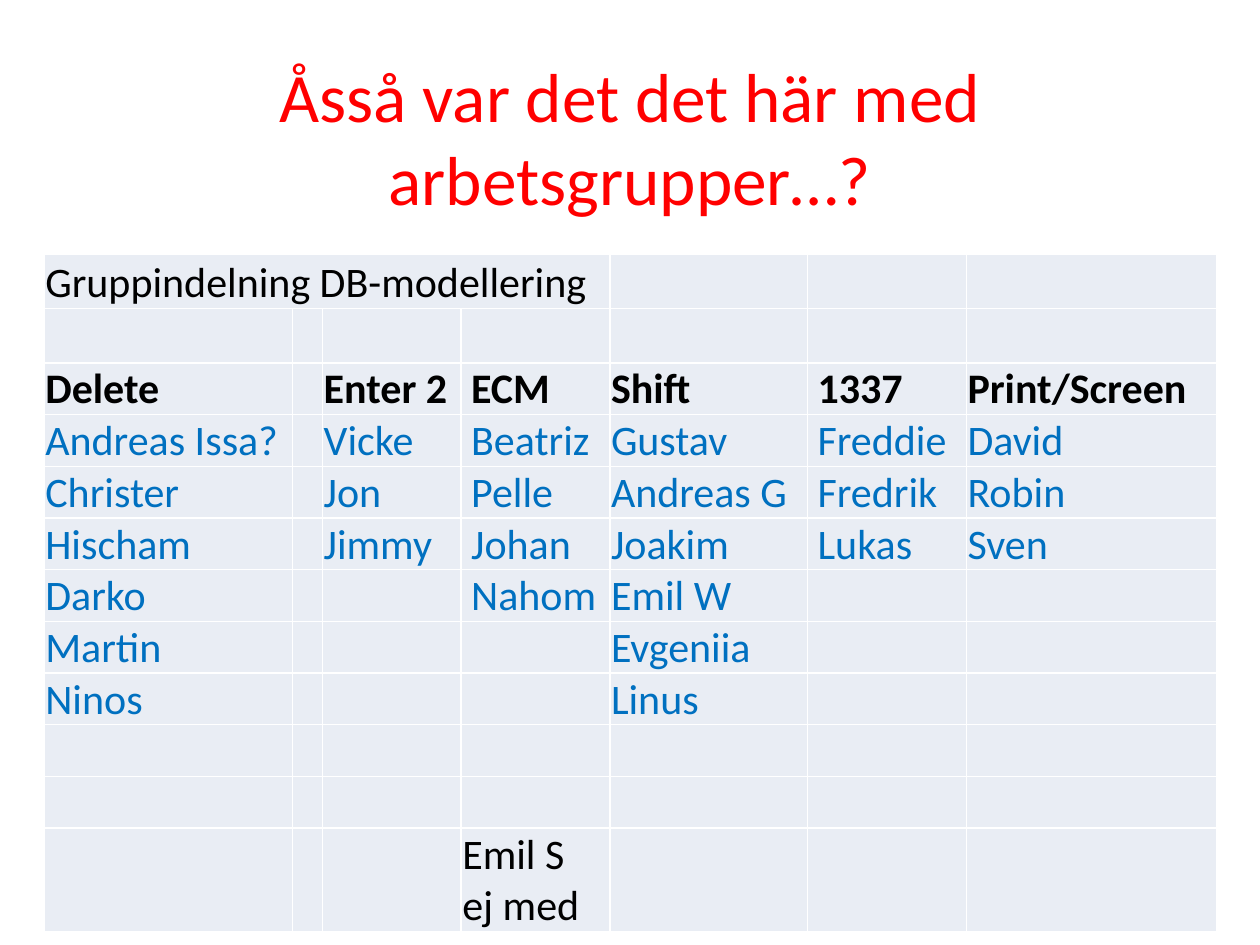
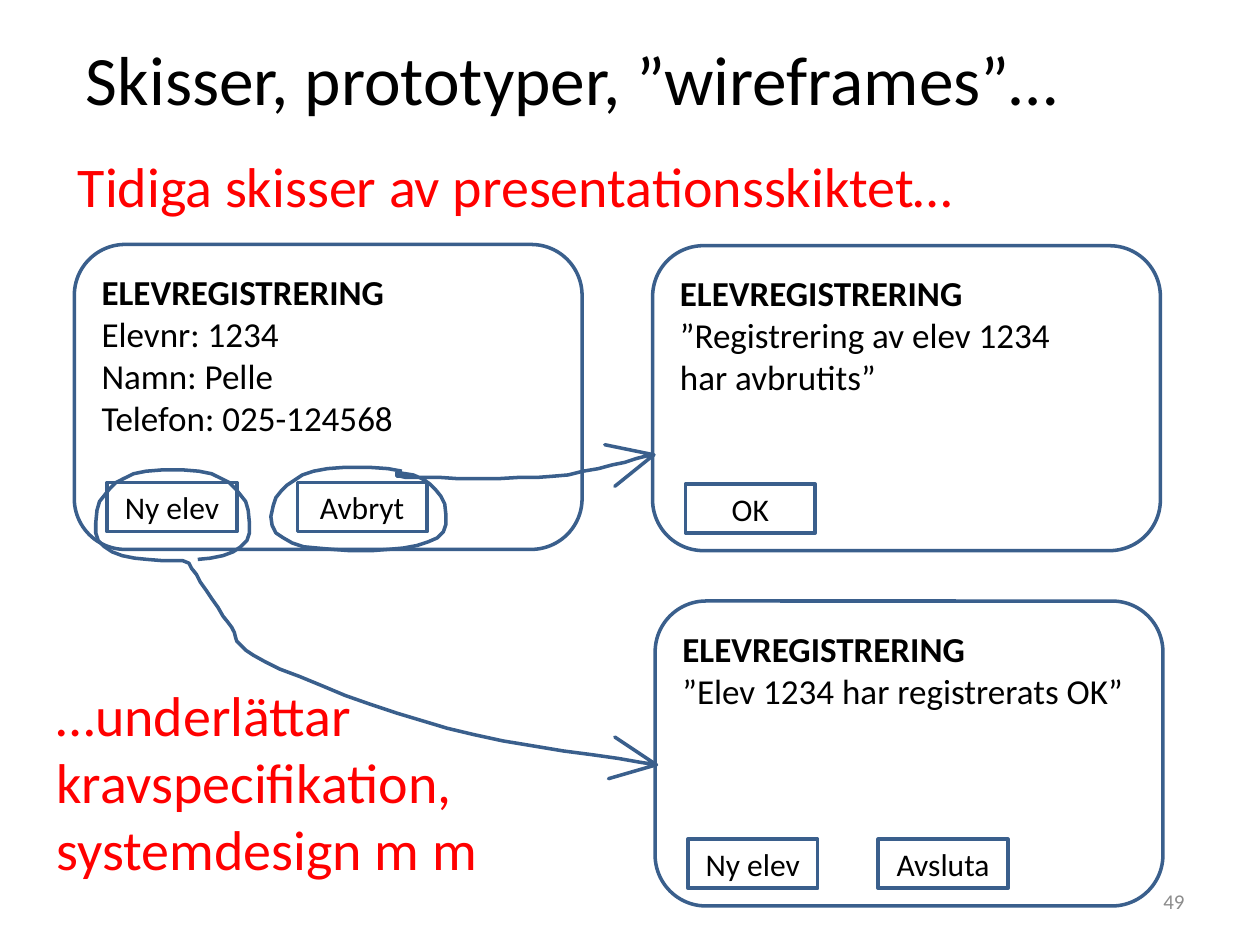
import math

from lxml import etree
from pptx import Presentation
from pptx import util as u
from pptx.dml.color import RGBColor
from pptx.enum import shapes, text
from pptx.oxml import ns

PX = 9144  # EMU per px, 100 px to the inch
FONT = "Calibri"
TITLE_SIZE, SUBTITLE_SIZE, TABLE_SIZE = 39.6, 32, 24
SCREEN_TEXT_SIZE, BUTTON_TEXT_SIZE, NUMBER_SIZE = 20, 18, 12
COLORS = {
    "black": "000000", "white": "FFFFFF", "red": "FF0000", "name": "0070C0",
    "cell": "E9EDF4", "ink": "3A5F8C", "number": "8C8C8C",
}
LEFT, CENTER, RIGHT = text.PP_ALIGN.LEFT, text.PP_ALIGN.CENTER, text.PP_ALIGN.RIGHT
TOP, MIDDLE, BOTTOM = (text.MSO_ANCHOR.TOP, text.MSO_ANCHOR.MIDDLE,
                       text.MSO_ANCHOR.BOTTOM)

# Group table
COLUMN_WIDTHS = [197, 24, 110, 118, 157, 126, 199]
ROW_HEIGHTS = [43, 43] + [41] * 9 + [82]
HEADER_ROW, LAST_ROW = 2, len(ROW_HEIGHTS) - 1
TITLE_SPAN = 4  # columns under the table heading
ABSENT_COLUMN = 3
INDENTED_COLUMNS = (3, 5)
GROUPS = {  # column: group name, then its members
    0: ["Delete", "Andreas Issa?", "Christer", "Hischam", "Darko", "Martin", "Ninos"],
    2: ["Enter 2", "Vicke", "Jon", "Jimmy"],
    3: ["ECM", "Beatriz", "Pelle", "Johan", "Nahom"],
    4: ["Shift", "Gustav", "Andreas G", "Joakim", "Emil W", "Evgeniia", "Linus"],
    5: ["1337", "Freddie", "Fredrik", "Lukas"],
    6: ["Print/Screen", "David", "Robin", "Sven"],
}

# Wireframe screens
SCREEN_SIZE = (403, 242)
BUTTON_SIZE = (103, 39)
BUTTON_OFFSET = (26, 189)
BUTTON_STEP = 151

# Hand-drawn arrows
RING_STEPS, SHAFT_STEPS = 36, 8
RING_WOBBLE = 0.04
RING_SQUARENESS = 0.8  # 1 gives an ellipse, less gives fuller corners
BARB_LENGTH, BARB_ANGLE = 40, 25


def emu(*lengths):
    return [u.Emu(length * PX) for length in lengths]


def rgb(name):
    return RGBColor.from_string(COLORS[name])


# Text
def format_paragraph(paragraph, size, color, bold=False, align=LEFT):
    paragraph.alignment = align
    for run in paragraph.runs:
        run.font.name = FONT
        run.font.size = u.Pt(size)
        run.font.bold = bold
        run.font.color.rgb = rgb(color)


def add_text(slide, box, content, size, color, align=LEFT, anchor=TOP):
    text_frame = slide.shapes.add_textbox(*emu(*box)).text_frame
    text_frame.word_wrap = True
    text_frame.vertical_anchor = anchor
    text_frame.text = content
    format_paragraph(text_frame.paragraphs[0], size, color, align=align)


def add_title(slide, box, content, color):
    add_text(slide, box, content, TITLE_SIZE, color, CENTER, MIDDLE)


# Screens and buttons
def outline(shape):
    shape.shadow.inherit = False
    shape.line.color.rgb = rgb("ink")
    shape.line.width = u.Pt(2)


def add_box(slide, kind, box, content):
    shape = slide.shapes.add_shape(kind, *emu(*box))
    outline(shape)
    shape.fill.solid()
    shape.fill.fore_color.rgb = rgb("white")
    shape.text_frame.text = content
    return shape.text_frame


def add_button(slide, left, top, label):
    text_frame = add_box(slide, shapes.MSO_SHAPE.RECTANGLE,
                         (left, top, *BUTTON_SIZE), label)
    text_frame.vertical_anchor = MIDDLE
    text_frame.margin_top = text_frame.margin_bottom = 0
    format_paragraph(text_frame.paragraphs[0], BUTTON_TEXT_SIZE, "black", align=CENTER)


def add_screen(slide, left, top, lines, buttons):
    text_frame = add_box(slide, shapes.MSO_SHAPE.ROUNDED_RECTANGLE,
                         (left, top, *SCREEN_SIZE),
                         "\n".join(["ELEVREGISTRERING"] + lines))
    text_frame.vertical_anchor = TOP
    text_frame.margin_top = emu(9)[0]
    for index, paragraph in enumerate(text_frame.paragraphs):
        format_paragraph(paragraph, SCREEN_TEXT_SIZE, "black", bold=index == 0)
    for index, label in enumerate(buttons):
        add_button(slide, left + BUTTON_OFFSET[0] + index * BUTTON_STEP,
                   top + BUTTON_OFFSET[1], label)


# Hand-drawn arrows
def ring_points(center, radii, start_angle):
    """One uneven counterclockwise turn around a button."""
    def bulge(value):
        return math.copysign(abs(value) ** RING_SQUARENESS, value)

    points = []
    for step in range(RING_STEPS):
        angle = math.radians(start_angle - 360 * step / RING_STEPS)
        reach = 1 + RING_WOBBLE * math.sin(3 * angle)
        points.append((center[0] + radii[0] * reach * bulge(math.cos(angle)),
                       center[1] + radii[1] * reach * bulge(math.sin(angle))))
    return points


def smooth_points(stops):
    """A Catmull-Rom curve through all the stops."""
    padded = [stops[0], *stops, stops[-1]]
    points = [stops[0]]
    for before, start, end, after in zip(padded, padded[1:], padded[2:], padded[3:]):
        for step in range(1, SHAFT_STEPS + 1):
            t = step / SHAFT_STEPS
            points.append(tuple(
                b + ((c - a) * t + (2 * a - 5 * b + 4 * c - d) * t ** 2
                     + (3 * b - a - 3 * c + d) * t ** 3) / 2
                for a, b, c, d in zip(before, start, end, after)))
    return points


def head_points(previous, tip):
    """Both barbs, each drawn out from the tip and back again."""
    backwards = math.atan2(previous[1] - tip[1], previous[0] - tip[0])
    points = []
    for turn in (BARB_ANGLE, -BARB_ANGLE):
        angle = backwards + math.radians(turn)
        barb = (tip[0] + BARB_LENGTH * math.cos(angle),
                tip[1] + BARB_LENGTH * math.sin(angle))
        points += [barb, tip]
    return points


def add_ringed_arrow(slide, center, radii, start_angle, stops):
    shaft = smooth_points(stops)
    points = (ring_points(center, radii, start_angle) + shaft
              + head_points(*shaft[-2:]))
    builder = slide.shapes.build_freeform(*points[0], scale=PX)
    builder.add_line_segments(points[1:], close=False)
    arrow = builder.convert_to_shape()
    arrow.fill.background()
    outline(arrow)


# Table
def style_cell(cell):
    properties = cell._tc.get_or_add_tcPr()
    for side in ("lnL", "lnR", "lnT", "lnB"):
        line = etree.SubElement(properties, ns.qn(f"a:{side}"), w=str(u.Pt(1)))
        fill = etree.SubElement(line, ns.qn("a:solidFill"))
        etree.SubElement(fill, ns.qn("a:srgbClr"), val=COLORS["white"])
    cell.fill.solid()
    cell.fill.fore_color.rgb = rgb("cell")


def write_cell(cell, content, color="black", bold=False, indent=1):
    cell.text = content
    cell.vertical_anchor = BOTTOM
    cell.margin_left, cell.margin_right, cell.margin_top, cell.margin_bottom = emu(
        indent, 1, 1, 0)
    for paragraph in cell.text_frame.paragraphs:
        format_paragraph(paragraph, TABLE_SIZE, color, bold)


def add_group_table(slide, left, top):
    table = slide.shapes.add_table(
        len(ROW_HEIGHTS), len(COLUMN_WIDTHS),
        *emu(left, top, sum(COLUMN_WIDTHS), sum(ROW_HEIGHTS))).table
    for column, width in zip(table.columns, emu(*COLUMN_WIDTHS)):
        column.width = width
    for row, height in zip(table.rows, emu(*ROW_HEIGHTS)):
        row.height = height
    for cell in table.iter_cells():
        style_cell(cell)

    heading = table.cell(0, 0)
    heading.merge(table.cell(0, TITLE_SPAN - 1))
    write_cell(heading, "Gruppindelning DB-modellering")
    for column, (group, *members) in GROUPS.items():
        indent = 8 if column in INDENTED_COLUMNS else 1
        write_cell(table.cell(HEADER_ROW, column), group, bold=True, indent=indent)
        for row, member in enumerate(members, HEADER_ROW + 1):
            write_cell(table.cell(row, column), member, "name", indent=indent)
    write_cell(table.cell(LAST_ROW, ABSENT_COLUMN), "Emil S\nej med")


# Slides
def add_groups_slide(slide):
    add_title(slide, (50, 30, 900, 156),
              "Åsså var det det här med arbetsgrupper…?", "red")
    add_group_table(slide, 35, 202)


def add_wireframes_slide(slide):
    add_title(slide, (35, 21, 838, 82), "Skisser, prototyper, ”wireframes”…", "black")
    add_text(slide, (52, 115, 900, 90), "Tidiga skisser av presentationsskiktet…",
             SUBTITLE_SIZE, "red")
    add_text(slide, (717, 695, 233, 40), "49", NUMBER_SIZE, "number", RIGHT, MIDDLE)

    # Form, then the screens that its two buttons lead to
    add_screen(slide, 59, 194,
               ["Elevnr: 1234", "Namn: Pelle", "Telefon: 025-124568"],
               ["Ny elev", "Avbryt"])
    add_screen(slide, 520, 477, ["”Elev 1234 har registrerats OK”"],
               ["Ny elev", "Avsluta"])
    add_screen(slide, 518, 195, ["”Registrering av elev 1234", "har avbrutits”"],
               ["OK"])

    # From "Ny elev" to the receipt, from "Avbryt" to the cancellation
    add_ringed_arrow(slide, center=(137, 410), radii=(61, 36), start_angle=75,
                     stops=[(150, 447), (181, 494), (210, 525), (355, 578), (521, 607)])
    add_ringed_arrow(slide, center=(285, 405), radii=(69, 33), start_angle=-66,
                     stops=[(315, 375), (328, 379), (439, 378), (519, 361)])

    add_text(slide, (35, 535, 403, 172),
             "…underlättar kravspecifikation, systemdesign m m", SUBTITLE_SIZE, "red")


def main():
    presentation = Presentation()
    presentation.slide_width, presentation.slide_height = emu(1000, 750)
    blank = presentation.slide_layouts[6]
    for build in (add_groups_slide, add_wireframes_slide):
        build(presentation.slides.add_slide(blank))
    presentation.save("out.pptx")


if __name__ == "__main__":
    main()
